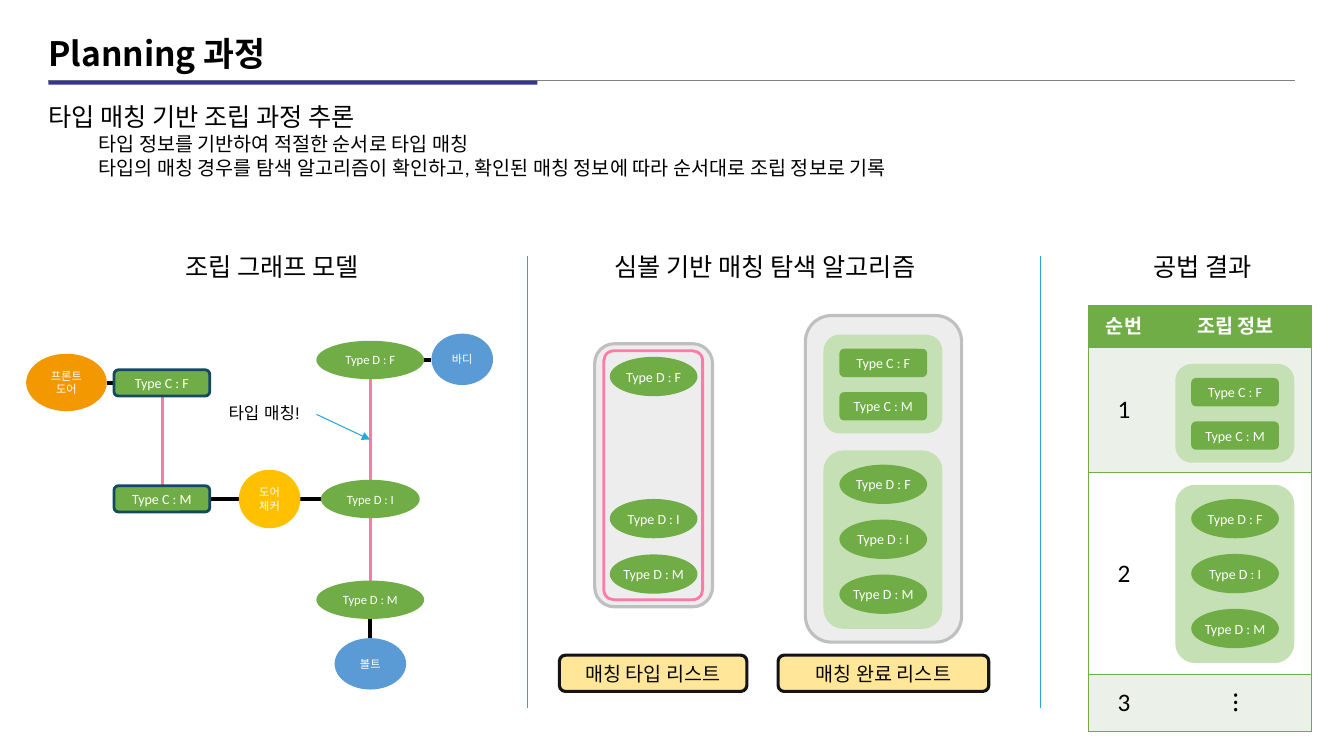
from lxml import etree
from pptx import Presentation
from pptx import util as u
from pptx.dml.color import RGBColor
from pptx.enum import shapes, text
from pptx.oxml.ns import qn

BLACK = RGBColor(0x00, 0x00, 0x00)
INK = RGBColor(0x06, 0x06, 0x06)
EDGE = RGBColor(0x14, 0x14, 0x14)
WHITE = RGBColor(0xFF, 0xFF, 0xFF)
GREEN = RGBColor(0x70, 0xAD, 0x47)
PALE_GREEN = RGBColor(0xC5, 0xE0, 0xB4)
BAND = RGBColor(0xEB, 0xF1, 0xE9)
PANEL = RGBColor(0xED, 0xED, 0xED)
SILVER = RGBColor(0xBF, 0xBF, 0xBF)
GRAY = RGBColor(0x80, 0x80, 0x80)
NAVY = RGBColor(0x33, 0x33, 0x99)
TEAL = RGBColor(0x14, 0x49, 0x62)
SKY = RGBColor(0x29, 0xA5, 0xDF)
BLUE = RGBColor(0x5B, 0x9B, 0xD5)
PINK = RGBColor(0xFF, 0x79, 0xA9)
ORANGE = RGBColor(0xF3, 0x98, 0x00)
AMBER = RGBColor(0xFF, 0xC0, 0x00)
CREAM = RGBColor(0xFF, 0xE6, 0x99)

CALIBRI, NOTO, ARIAL = "Calibri", "Noto Sans CJK KR", "Arial"
ROUND = shapes.MSO_SHAPE.ROUNDED_RECTANGLE
OVAL = shapes.MSO_SHAPE.OVAL
RECTANGLE = shapes.MSO_SHAPE.RECTANGLE
CENTER = text.PP_ALIGN.CENTER
MIDDLE = text.MSO_ANCHOR.MIDDLE
NO_STYLE = "{2D5ABB26-0587-4C30-8999-92F81FD0307C}"

C_TYPES = ["Type C : F", "Type C : M"]
D_TYPES = ["Type D : F", "Type D : I", "Type D : M"]
CHIP_WIDTH, OVAL_HEIGHT = 62.64, 28.08


class AssemblySlide:
    def __init__(self, slide):
        self.slide = slide

    def run(self, paragraph, words, size, color=BLACK, font=CALIBRI, bold=False):
        run = paragraph.add_run()
        run.text = words
        run.font.size, run.font.bold, run.font.name = u.Pt(size), bold, font
        run.font.color.rgb = color
        east_asian = etree.SubElement(run.font._element, qn("a:ea"))
        east_asian.set("typeface", font)

    def shape(self, kind, left, top, width, height, fill=None, line=None,
              weight=2.25, label=None, size=10, color=WHITE, inset=True, parent=None):
        shape = (parent or self.slide).shapes.add_shape(
            kind, u.Pt(left), u.Pt(top), u.Pt(width), u.Pt(height))
        shape.shadow.inherit = False
        if fill is None:
            shape.fill.background()
        else:
            shape.fill.solid()
            shape.fill.fore_color.rgb = fill
        if line is None:
            shape.line.fill.background()
        else:
            shape.line.color.rgb = line
            shape.line.width = u.Pt(weight)
        if label:
            frame = shape.text_frame
            frame.vertical_anchor = MIDDLE
            if not inset:
                frame.margin_left = frame.margin_right = 0
                frame.margin_top = frame.margin_bottom = 0
            for index, words in enumerate(label.split("\n")):
                paragraph = frame.add_paragraph() if index else frame.paragraphs[0]
                paragraph.alignment = CENTER
                self.run(paragraph, words, size, color)
        return shape

    def line(self, x1, y1, x2, y2, color=BLACK, weight=3, arrow=False):
        line = self.slide.shapes.add_connector(
            shapes.MSO_CONNECTOR.STRAIGHT, u.Pt(x1), u.Pt(y1), u.Pt(x2), u.Pt(y2))
        line.line.color.rgb = color
        line.line.width = u.Pt(weight)
        if arrow:
            etree.SubElement(line.line._get_or_add_ln(), qn("a:tailEnd")).set("type", "triangle")
        etree.SubElement(line._element.spPr, qn("a:effectLst"))

    def text_box(self, left, top, width, height):
        """Add a wrapping text box and return its text frame."""
        frame = self.slide.shapes.add_textbox(
            u.Pt(left), u.Pt(top), u.Pt(width), u.Pt(height)).text_frame
        frame.word_wrap = True
        return frame

    def heading(self, left, width, words):
        paragraph = self.text_box(left, 175.7, width, 28.8).paragraphs[0]
        paragraph.alignment = CENTER
        self.run(paragraph, words, 18)

    def type_oval(self, left, top, label, parent=None):
        self.shape(OVAL, left, top, CHIP_WIDTH, OVAL_HEIGHT, GREEN,
                   label=label, inset=False, parent=parent)

    def type_card(self, left, top, labels, ovals):
        """Group matched types on a pale green card."""
        card = self.slide.shapes.add_group_shape()
        self.shape(ROUND, left, top, 85, 127.4 if ovals else 70.6, PALE_GREEN, parent=card)
        for index, label in enumerate(labels):
            if ovals:
                self.type_oval(left + 11.4, top + 10.1 + 39.25 * index, label, card)
            else:
                self.shape(ROUND, left + 11.4, top + 10.1 + 31 * index, CHIP_WIDTH, 20.2,
                           GREEN, label=label, inset=False, parent=card)

    def border(self, cell, sides):
        properties = cell._tc.get_or_add_tcPr()
        for position, side in enumerate(sides):
            edge = etree.Element(qn(f"a:ln{side}"), w=str(u.Pt(1)))
            fill = etree.SubElement(edge, qn("a:solidFill"))
            etree.SubElement(fill, qn("a:srgbClr")).set("val", str(GREEN))
            properties.insert(position, edge)

    def result_table(self, left, top, widths, heights, rows):
        table = self.slide.shapes.add_table(
            len(rows), len(widths), u.Pt(left), u.Pt(top),
            u.Pt(sum(widths)), u.Pt(sum(heights))).table
        table._tbl.tblPr.find(qn("a:tableStyleId")).text = NO_STYLE
        for column, width in zip(table.columns, widths):
            column.width = u.Pt(width)
        for r, (height, row) in enumerate(zip(heights, rows)):
            table.rows[r].height = u.Pt(height)
            for c, words in enumerate(row):
                cell = table.cell(r, c)
                cell.vertical_anchor = MIDDLE
                cell.fill.solid()
                cell.fill.fore_color.rgb = GREEN if r == 0 else BAND if r % 2 else WHITE
                self.border(cell, "RTB" if c else "LTB")
                if words:
                    paragraph = cell.text_frame.paragraphs[0]
                    paragraph.alignment = CENTER
                    if r == 0:
                        self.run(paragraph, words, 14, WHITE, bold=True)
                    else:
                        self.run(paragraph, words, 18)


def draw_header(page):
    page.line(34.6, 57.6, 925.2, 57.6, GRAY, 1)
    page.shape(RECTANGLE, 34.6, 57.6, 349.2, 2.9, NAVY)
    title = page.text_box(27.4, 24.5, 480, 36).paragraphs[0]
    title.line_spacing = 0.85
    page.run(title, "Planning 과정", 24, font=NOTO, bold=True)

    frame = page.text_box(27.4, 56.2, 920, 82.8)
    frame.paragraphs[0].line_spacing = 1.6
    page.run(frame.paragraphs[0], "타입 매칭 기반 조립 과정 추론", 18)
    details = [
        [("타입 정보를 기반하여 적절한 순서로 타입 매칭", NOTO)],
        [("타입의 매칭 경우를 ", NOTO),
         ("탐색 알고리즘이 확인하고, 확인된 매칭 정보에 따라 순서대로 조립 정보로 기록", CALIBRI)],
    ]
    for detail in details:
        paragraph = frame.add_paragraph()
        paragraph._p.get_or_add_pPr().set("marL", str(u.Pt(36)))
        for words, font in detail:
            page.run(paragraph, words, 14, font=font)


def draw_graph(page):
    page.heading(101.5, 185.8, "조립 그래프 모델")
    for x, y1, y2 in [(264.4, 270.7, 414.7), (115.9, 283, 347)]:
        page.line(x, y1, x, y2, PINK, 2.25)
    for x1, y1, x2, y2 in [(214.6, 356.4, 229, 356.4), (76.7, 273.6, 81.4, 273.6),
                           (303.1, 257, 308.2, 257), (149.8, 356.4, 170.6, 356.4),
                           (264.4, 442, 264.4, 455.8)]:
        page.line(x1, y1, x2, y2)
    for left, top, width, height, fill, label in [
            (170.6, 335.5, 44, 41.8, AMBER, "도어\n체커"),
            (18.7, 252.7, 57.6, 41, ORANGE, "프론트 도어"),
            (308.2, 238.3, 44, 36.7, BLUE, "바디"),
            (239, 455.8, 51.1, 36.7, BLUE, "볼트")]:
        page.shape(OVAL, left, top, width, height, fill, label=label, size=8)
    for top, label in zip((264.2, 347), C_TYPES):
        page.shape(ROUND, 81.4, top, 68.4, 18.7, GREEN, TEAL, 2, label)
    for top, width, label in zip((243.4, 342.7, 414.7), (77, 70.6, 77), D_TYPES):
        page.shape(OVAL, 264.5 - width / 2, top, width, 27.4, GREEN, label=label, size=9)
    frame = page.text_box(156.2, 279.4, 69.1, 33.1)
    frame.vertical_anchor = MIDDLE
    frame.paragraphs[0].line_spacing = 0.9
    page.run(frame.paragraphs[0], "타입 매칭!", 12, font=ARIAL)
    page.line(226.1, 296, 264.4, 314, SKY, 0.75, arrow=True)


def draw_search(page):
    page.heading(404.6, 283.7, "심볼 기반 매칭 탐색 알고리즘")
    page.shape(ROUND, 424.8, 245.5, 84.2, 187.9, PANEL, SILVER)
    for top, label in zip((254.9, 356.4, 396), D_TYPES):
        page.type_oval(435.6, top, label)
    frame = page.shape(ROUND, 431.3, 250.6, 70.6, 177.8, line=PINK, weight=2)
    frame.adjustments[0] = 0.1
    page.shape(ROUND, 575.3, 225.4, 111.6, 233.3, PANEL, SILVER)
    page.type_card(588.2, 239, C_TYPES, ovals=False)
    page.type_card(588.2, 321.8, D_TYPES, ovals=True)
    for left, width, label in [(399.6, 133.9, "매칭 타입 리스트"),
                               (555.8, 150.5, "매칭 완료 리스트")]:
        page.shape(ROUND, left, 468, width, 25.9, CREAM, EDGE, label=label, size=14, color=INK)


def draw_result(page):
    page.heading(766.1, 185.8, "공법 결과")
    page.result_table(777.6, 218.2, (50.6, 108.9), (30.2, 89.3, 144, 41),
                      [("순번", "조립 정보"), ("1", ""), ("2", ""), ("3", "⁝")])
    page.type_card(839.5, 259.9, C_TYPES, ovals=False)
    page.type_card(839.5, 346.3, D_TYPES, ovals=True)


def main():
    presentation = Presentation()
    presentation.slide_width, presentation.slide_height = u.Pt(960), u.Pt(540)
    page = AssemblySlide(presentation.slides.add_slide(presentation.slide_layouts[6]))
    draw_header(page)
    for x in (376.6, 743):
        page.line(x, 182.9, x, 505.4, SKY, 0.75)
    draw_graph(page)
    draw_search(page)
    draw_result(page)
    presentation.save("out.pptx")


if __name__ == "__main__":
    main()
